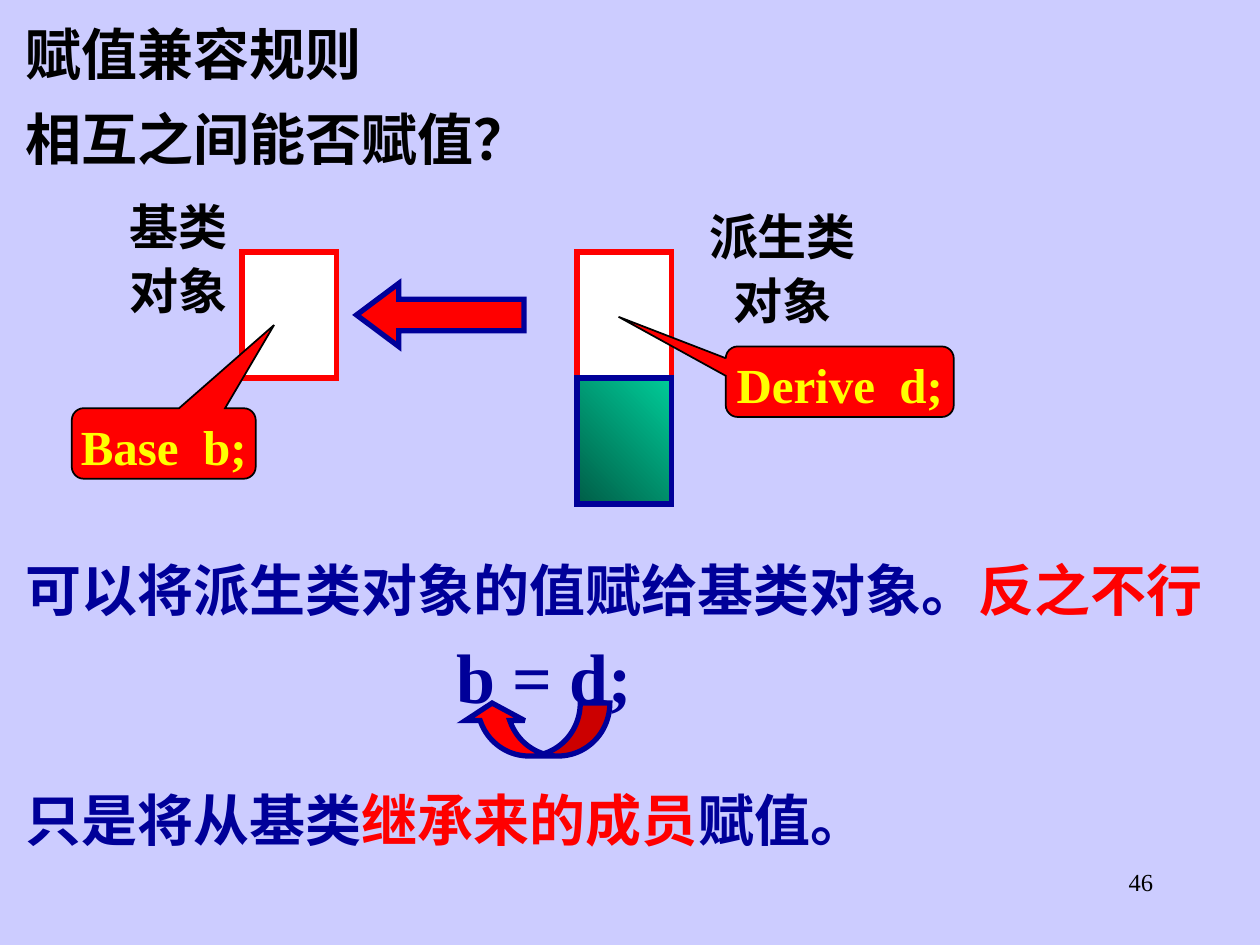
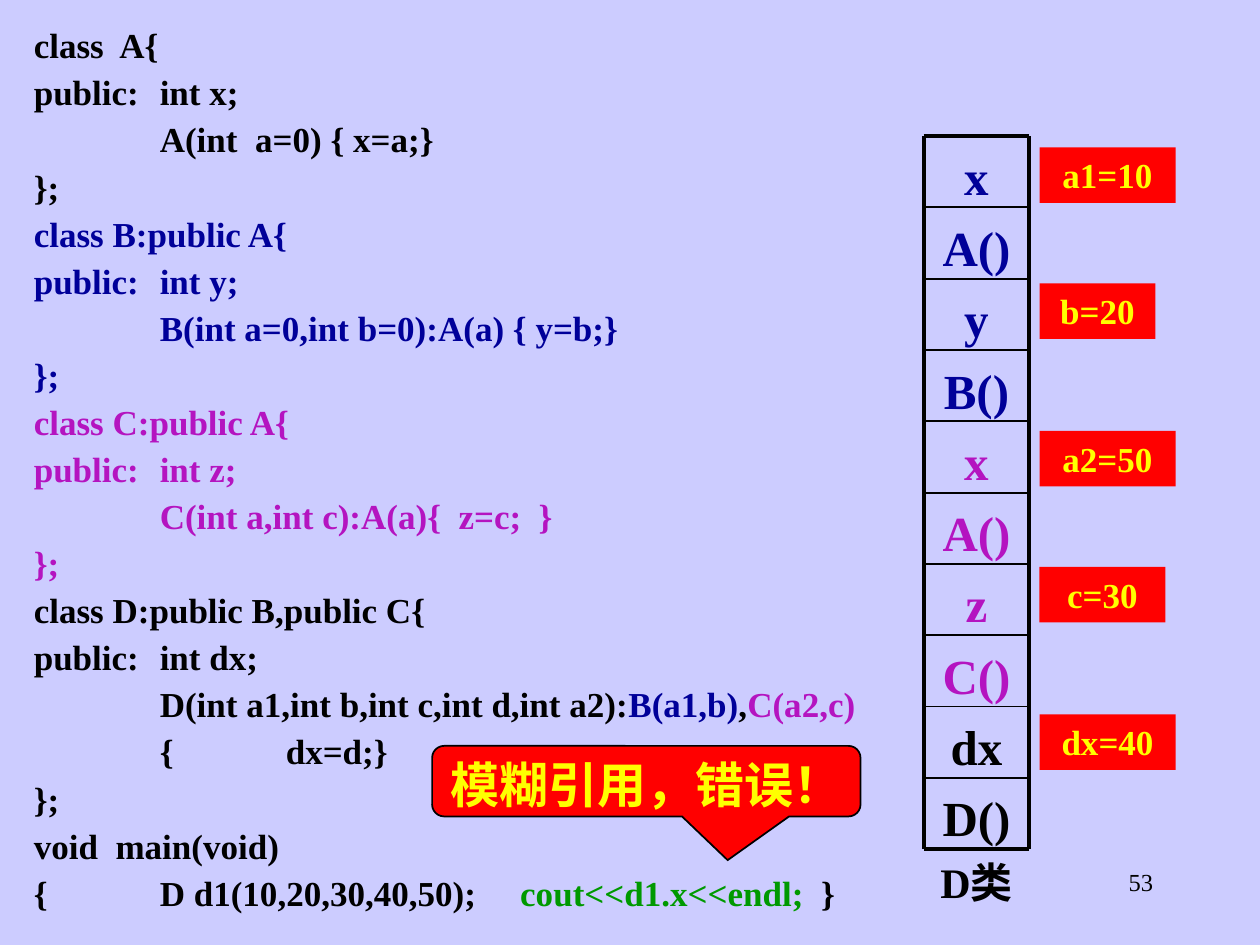
"""Build two slides on C++ inheritance: assignment compatibility and ambiguous members."""
from lxml.etree import SubElement
from pptx import Presentation
from pptx.dml.color import RGBColor
from pptx.enum.shapes import MSO_CONNECTOR as CONNECTOR, MSO_SHAPE as SHAPE
from pptx.enum.text import MSO_ANCHOR as ANCHOR, MSO_AUTO_SIZE as AUTO_SIZE, PP_ALIGN as ALIGN
from pptx.oxml.ns import qn
from pptx.util import Inches, Pt

COLORS = {
    "background": "CCCCFF", "black": "000000", "white": "FFFFFF", "red": "FF0000",
    "navy": "000099", "yellow": "FFFF00", "purple": "B414C0", "green": "009900",
    "dark_teal": "005E47", "teal": "00CC99",
}
FONT = "Times New Roman"
HEADING = dict(size=32, line_spacing=1.2, margins=(0.2, 0.05))
CALLOUT = dict(size=28, color="yellow", align=ALIGN.CENTER, line_spacing=1.1,
               margins=(0.02, 0), anchor=ANCHOR.BOTTOM, wrap=False)

CODE = [
    [("class  A{", "black")],
    [("public:\tint x;", "black")],
    [("\tA(int  a=0) { x=a;}", "black")],
    [("};", "black")],
    [("class B:public A{", "navy")],
    [("public:\tint y;", "navy")],
    [("\tB(int a=0,int b=0):A(a) { y=b;}", "navy")],
    [("};", "navy")],
    [("class C:public A{", "purple")],
    [("public:\tint z;", "purple")],
    [("\tC(int a,int c):A(a){  z=c;  }", "purple")],
    [("};", "purple")],
    [("class D:public B,public C{", "black")],
    [("public:\tint dx;", "black")],
    [("\tD(int a1,int b,int c,int d,int a2):", "black"), ("B(a1,b)", "navy"),
     (",", "black"), ("C(a2,c)", "purple")],
    [("\t{\tdx=d;}", "black")],
    [("};", "black")],
    [("void  main(void)", "black")],
    [("{\tD d1(10,20,30,40,50);     ", "black"), ("cout<<d1.x<<endl;", "green"),
     ("  }", "black")],
]
MEMBERS = [
    ("x", "navy"), ("A()", "navy"), ("y", "navy"), ("B()", "navy"),
    ("x", "purple"), ("A()", "purple"), ("z", "purple"), ("C()", "purple"),
    ("dx", "black"), ("D()", "black"),
]
VALUES = [("a1=10", 1.17, 1.08), ("b=20", 2.25, 0.92), ("a2=50", 3.42, 1.08),
          ("c=30", 4.5, 1), ("dx=40", 5.67, 1.08)]


def rgb(name):
    """Return the named colour."""
    return RGBColor.from_string(COLORS[name])


def lengths(*values):
    """Convert numbers to inches."""
    return [Inches(value) for value in values]


def set_tabs(paragraph, stops):
    """Give a paragraph left tab stops, in inches."""
    tab_list = SubElement(paragraph._p.get_or_add_pPr(), qn("a:tabLst"))
    for stop in stops:
        SubElement(tab_list, qn("a:tab"), pos=str(Inches(stop)), algn="l")


def write(frame, text, size=20, color="black", bold=True, align=ALIGN.LEFT,
          line_spacing=None, margins=(0.1, 0.05), anchor=ANCHOR.TOP, wrap=True, tabs=()):
    """Fill a text frame with a string or with lines of (text, colour) runs."""
    frame.auto_size = AUTO_SIZE.NONE
    frame.word_wrap = wrap
    frame.vertical_anchor = anchor
    frame.margin_left = frame.margin_right = Inches(margins[0])
    frame.margin_top = frame.margin_bottom = Inches(margins[1])
    lines = [[(text, color)]] if isinstance(text, str) else text
    for index, line in enumerate(lines):
        paragraph = frame.add_paragraph() if index else frame.paragraphs[0]
        if tabs:
            set_tabs(paragraph, tabs)
        paragraph.alignment = align
        paragraph.space_before = Pt(0)
        if line_spacing:
            paragraph.line_spacing = line_spacing
        for words, run_color in line:
            run = paragraph.add_run()
            run.text = words
            run.font.name = FONT
            run.font.size = Pt(size)
            run.font.bold = bold
            run.font.color.rgb = rgb(run_color)


def add_text(slide, box, text, **style):
    """Add a text box."""
    write(slide.shapes.add_textbox(*lengths(*box)).text_frame, text, **style)


def add_shape(slide, kind, box, fill="red", line=None, width=3, adjustments=()):
    """Add a preset shape with a flat fill and an optional sharp-cornered outline."""
    shape = slide.shapes.add_shape(kind, *lengths(*box))
    shape.shadow.inherit = False
    shape.fill.solid()
    shape.fill.fore_color.rgb = rgb(fill)
    if line:
        shape.line.color.rgb = rgb(line)
        shape.line.width = Pt(width)
        SubElement(shape.line._get_or_add_ln(), qn("a:miter"), lim="800000")
    else:
        shape.line.fill.background()
    for index, value in enumerate(adjustments):
        shape.adjustments[index] = value
    return shape


def add_line(slide, start, end, width):
    """Add a straight black line."""
    line = slide.shapes.add_connector(CONNECTOR.STRAIGHT, *lengths(*start, *end))
    line.line.color.rgb = rgb("black")
    line.line.width = Pt(width)
    SubElement(line._element.spPr, qn("a:effectLst"))


def add_callout(slide, box, text, tip):
    """Add a red speech bubble whose tip is given relative to its size."""
    bubble = add_shape(slide, SHAPE.ROUNDED_RECTANGULAR_CALLOUT, box, line="black",
                       width=1, adjustments=(*tip, 0.17))
    write(bubble.text_frame, text, **CALLOUT)


def add_page_number(slide, number):
    """Add the page number at the lower right."""
    add_text(slide, (7.17, 6.83, 2.08, 0.5), number, size=14, bold=False, align=ALIGN.RIGHT)


def add_member_stack(slide, box, members):
    """Draw the memory layout of an object as a ruled stack of members."""
    left, top, width, height = box
    right, bottom = left + width, top + height
    step = height / len(members)
    for index, (member, color) in enumerate(members):
        add_text(slide, (left, top + index * step + 0.03, width, step), member, size=28,
                 color=color, align=ALIGN.CENTER, anchor=ANCHOR.MIDDLE)
    for index in range(len(members) + 1):
        y = top + index * step
        add_line(slide, (left, y), (right, y), 2.25 if index in (0, len(members)) else 1)
    for x in (left, right):
        add_line(slide, (x, top), (x, bottom), 2.25)


def build_assignment_slide(prs):
    """Show which way objects of base and derived classes can be assigned."""
    slide = prs.slides.add_slide(prs.slide_layouts[5])
    title = slide.shapes.title
    title.left, title.top, title.width, title.height = lengths(0, 0, 10, 0.74)
    write(title.text_frame, "赋值兼容规则", **HEADING)
    statements = [
        (0.67, [("相互之间能否赋值？", "black")]),
        (4.25, [("可以将派生类对象的值赋给基类对象。", "navy"), ("反之不行", "red")]),
        (6.08, [("只是将从基类", "navy"), ("继承来的成员", "red"), ("赋值。", "navy")]),
    ]
    for top, runs in statements:
        add_text(slide, (0, top, 10, 0.74), [runs], **HEADING)

    for left in (1.92, 4.58):
        add_shape(slide, SHAPE.RECTANGLE, (left, 2, 0.75, 1), "white", "red")
    derived_part = add_shape(slide, SHAPE.RECTANGLE, (4.58, 3, 0.75, 1), line="navy")
    derived_part.fill.gradient()
    derived_part.fill.gradient_angle = 45
    for stop, position, color in zip(derived_part.fill.gradient_stops, (0, 1),
                                     ("dark_teal", "teal")):
        stop.position = position
        stop.color.rgb = rgb(color)
    add_shape(slide, SHAPE.LEFT_ARROW, (2.83, 2.25, 1.33, 0.5), line="navy",
              adjustments=(0.5, 0.67))

    for box, label in (((0.92, 1.5, 1, 1.05), "基类对象"),
                       ((5.5, 1.58, 1.42, 1.05), "派生类对象")):
        add_text(slide, box, label, size=28, align=ALIGN.CENTER, line_spacing=1.1,
                 margins=(0.02, 0.01))
    add_callout(slide, (0.57, 3.24, 1.46, 0.56), "Base  b;", (0.6, -1.68))
    add_callout(slide, (5.76, 2.75, 1.81, 0.56), "Derive  d;", (-0.97, -0.92))

    add_text(slide, (3.32, 4.84, 2, 0.9), "b = d;", size=40, color="navy",
             align=ALIGN.CENTER, line_spacing=1.2, anchor=ANCHOR.BOTTOM)
    copy_arrow = add_shape(slide, SHAPE.CURVED_DOWN_ARROW, (3.67, 5.58, 1.17, 0.42),
                           line="navy", adjustments=(0.56, 1.12, 0.33))
    copy_arrow.rotation = 180
    add_page_number(slide, "46")


def build_ambiguity_slide(prs):
    """Show the code and the members of an object that inherits A twice."""
    slide = prs.slides.add_slide(prs.slide_layouts[6])
    add_text(slide, (0.17, 0.1, 7.5, 7.2), CODE, line_spacing=Pt(26.9), tabs=(1, 2))
    add_member_stack(slide, (7.33, 1.08, 0.84, 5.66), MEMBERS)
    add_text(slide, (7.25, 6.75, 1, 0.5), "D类", size=24, align=ALIGN.CENTER)
    for value, top, width in VALUES:
        label = add_shape(slide, SHAPE.RECTANGLE, (8.25, top, width, 0.44))
        write(label.text_frame, value, color="yellow", align=ALIGN.CENTER)
    add_callout(slide, (3.43, 5.92, 3.4, 0.56), "模糊引用，错误！", (0.19, 1.12))
    add_page_number(slide, "53")


def main():
    """Build and save the presentation."""
    prs = Presentation()
    prs.slide_width, prs.slide_height = lengths(10, 7.5)
    background = prs.slide_master.background.fill
    background.solid()
    background.fore_color.rgb = rgb("background")
    build_assignment_slide(prs)
    build_ambiguity_slide(prs)
    prs.save("out.pptx")


if __name__ == "__main__":
    main()
